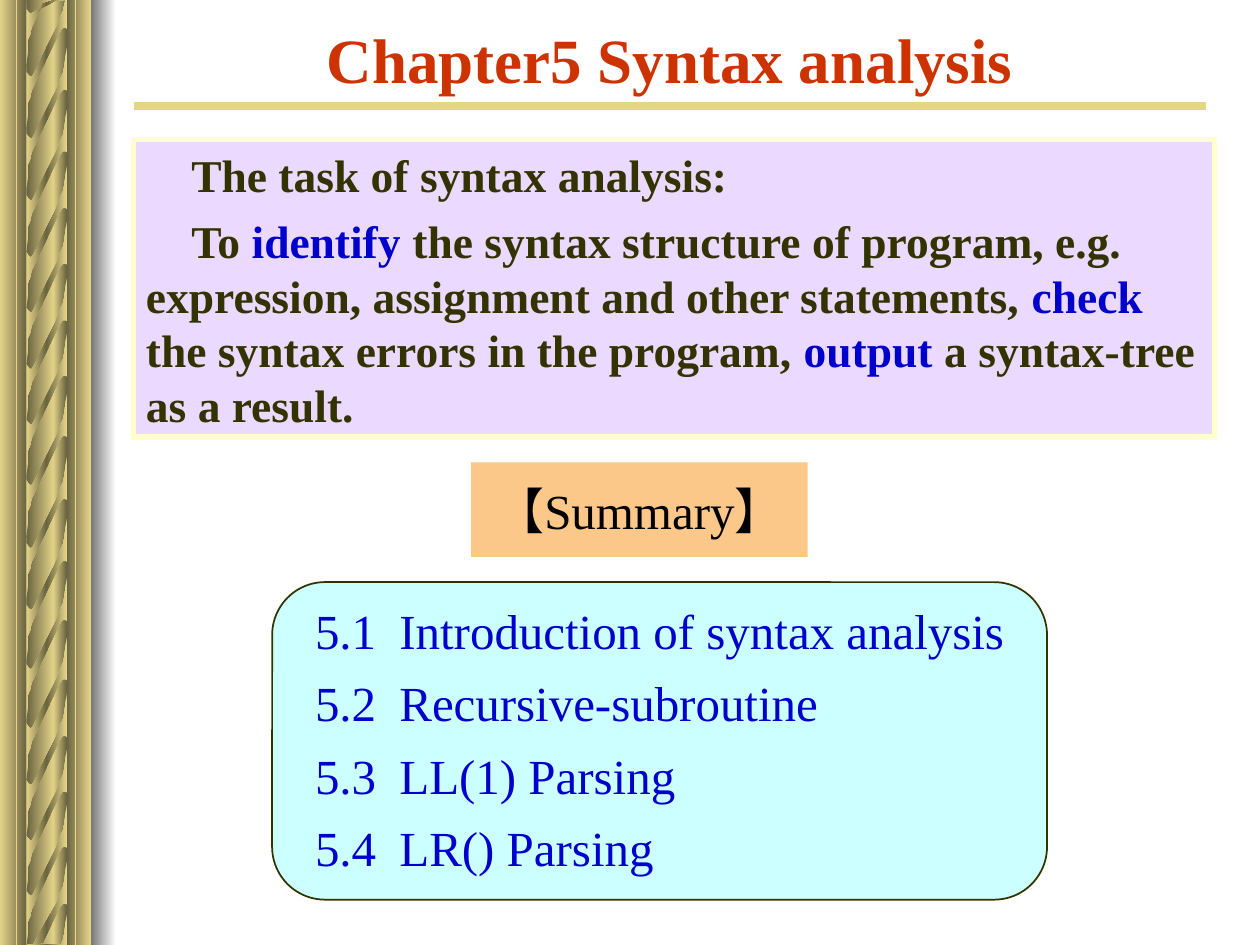
from copy import deepcopy

from pptx import Presentation
from pptx.dml.color import RGBColor as Rgb
from pptx.enum.shapes import MSO_CONNECTOR as Link, MSO_SHAPE as Kind
from pptx.enum.text import MSO_ANCHOR as Anchor, MSO_AUTO_SIZE as Fit, PP_ALIGN as Align
from pptx.oxml.ns import qn
from pptx.util import Pt

PX = 9144  # 100 px to the inch
WIDE, HIGH = 1000, 750

GOLD, DARK = "E5D58A", "6A6340"
RED, BLUE, OLIVE, BLACK = "CC3300", "0000CC", "333300", "000000"

RAILS = [(0, 21, GOLD, DARK), (21, 22, DARK, GOLD), (42, 11, GOLD, DARK),
         (53, 19, DARK, GOLD), (72, 20, "767676", "FFFFFF")]
TWIST = [(53, 9), (53, 34), (52, 33), (50, 33), (49, 34), (47, 37), (43, 45),
         (34, 64), (25, 83), (24, 88), (22, 93), (22, 101), (21, 112), (21, 64),
         (21, 68), (22, 70), (23, 71), (24, 72), (25, 72), (26, 71), (45, 33),
         (48, 24), (50, 20), (51, 15), (52, 7), (53, 0)]
TOPS = [-61, -11, 38, 87, 132, 176, 221, 265, 313,
        363, 412, 459, 506, 551, 595, 639, 684, 726]

TASK = [
    [("The task of syntax analysis:", OLIVE)],
    [("To ", OLIVE), ("identify", BLUE),
     (" the syntax structure of program, e.g. expression, assignment"
      " and other statements, ", OLIVE),
     ("check", BLUE), (" the syntax errors in the program,", OLIVE),
     (" output", BLUE), (" a syntax-tree as a result.", OLIVE)],
]
PARTS = ["5.1\tIntroduction of syntax analysis", "5.2\tRecursive-subroutine",
         "5.3\tLL(1) Parsing", "5.4\tLR() Parsing"]


def rgb(code):
    return Rgb.from_string(code)


def paint(shape, *codes):
    """Fill with one colour, or with an even left-to-right blend of several."""
    shape.shadow.inherit = False
    shape.line.fill.background()
    fill = shape.fill
    if len(codes) == 1:
        fill.solid()
        fill.fore_color.rgb = rgb(codes[0])
        return
    fill.gradient()
    fill.gradient_angle = 0
    stops = shape.element.spPr.find(".//" + qn("a:gsLst"))
    while len(stops) < len(codes):
        stops.append(deepcopy(stops[-1]))
    for i, (stop, code) in enumerate(zip(fill.gradient_stops, codes)):
        stop.position = i / (len(codes) - 1)
        stop.color.rgb = rgb(code)


def edge(shape, code, width):
    shape.line.color.rgb = rgb(code)
    shape.line.width = Pt(width)


def indent(para, left, first):
    props = para._p.get_or_add_pPr()
    props.set("marL", str(left * PX))
    props.set("indent", str(first * PX))
    return props


class Deck:
    def __init__(self, face):
        self.face = face
        self.show = Presentation()
        self.show.slide_width, self.show.slide_height = WIDE * PX, HIGH * PX
        self.slide = self.show.slides.add_slide(self.show.slide_layouts[1])
        self.shapes = self.slide.shapes

    def style(self, run, size, code, bold=False):
        font = run.font
        font.name, font.size, font.bold = self.face, Pt(size), bold
        font.color.rgb = rgb(code)

    def box(self, kind, x, y, w, h, *codes):
        shape = self.shapes.add_shape(kind, x * PX, y * PX, w * PX, h * PX)
        paint(shape, *codes)
        return shape

    def line(self, x1, y1, x2, y2, code, width):
        line = self.shapes.add_connector(
            Link.STRAIGHT, x1 * PX, y1 * PX, x2 * PX, y2 * PX)
        edge(line, code, width)
        props = line.element.spPr
        props.append(props.makeelement(qn("a:effectLst"), {}))

    def twist(self, top):
        """One strand of the rope, cut off at the slide's edges."""
        dots = [(x, min(max(top + y, 0), HIGH)) for x, y in TWIST]
        path = self.shapes.build_freeform(*dots[0], scale=PX)
        path.add_line_segments(dots[1:])
        paint(path.convert_to_shape(), GOLD, DARK, GOLD)

    def place(self, slot, x, y, w, h, anchor):
        """Move a placeholder to its spot, in front of all else."""
        shape = self.slide.placeholders[slot]
        shape.left, shape.top, shape.width, shape.height = (
            v * PX for v in (x, y, w, h))
        shape.element.getparent().append(shape.element)
        frame = shape.text_frame
        frame.auto_size, frame.vertical_anchor = Fit.NONE, anchor
        return frame

    def label(self, frame, text, size, code, bold=False):
        frame.text = text
        para = frame.paragraphs[0]
        para.alignment = Align.CENTER
        self.style(para.runs[0], size, code, bold)

    def prose(self, frame, paras, size):
        """Bold paragraphs made of (text, colour) runs."""
        frame.word_wrap, frame.vertical_anchor = True, Anchor.TOP
        frame.margin_top = 6 * PX
        for i, runs in enumerate(paras):
            para = frame.add_paragraph() if i else frame.paragraphs[0]
            indent(para, 0, 36)
            para.alignment, para.line_spacing = Align.LEFT, 1.0
            para.space_before = Pt(6.5 if i else 0)
            for text, code in runs:
                run = para.add_run()
                run.text = text
                self.style(run, size, code, True)

    def items(self, frame, rows, size, code):
        frame.text = "\n".join(rows)
        for i, para in enumerate(frame.paragraphs):
            props = indent(para, 67, -67)
            props.append(props.makeelement(qn("a:buNone"), {}))
            para.line_spacing = 0.9
            para.space_before = Pt(11 if i else 0)
            self.style(para.runs[0], size, code)


def main():
    deck = Deck("Times New Roman")
    for x, w, *codes in RAILS:
        deck.box(Kind.RECTANGLE, x, 0, w, HIGH, *codes)
    for top in TOPS:
        deck.twist(top)
    for x in (13, 60):
        deck.line(x, 0, x, HIGH, GOLD, 1)
    deck.line(106, 84, 957, 84, GOLD, 4.5)

    title = deck.place(0, 106, 13, 851, 67, Anchor.MIDDLE)
    deck.label(title, "Chapter5 Syntax analysis", 36, RED, True)

    task = deck.box(Kind.RECTANGLE, 106, 111, 858, 236, "ECD9FF")
    edge(task, "FFFFCC", 3)
    deck.prose(task.text_frame, TASK, 26)

    head = deck.box(Kind.RECTANGLE, 374, 367, 267, 75, "FCC88A")
    deck.label(head.text_frame, "【Summary】", 28, BLACK)

    panel = deck.box(Kind.ROUNDED_RECTANGLE, 216, 462, 615, 252, "CCFFFF")
    edge(panel, OLIVE, 1)
    deck.items(deck.place(1, 240, 477, 580, 220, Anchor.TOP), PARTS, 28, BLUE)

    deck.show.save("out.pptx")


if __name__ == "__main__":
    main()
